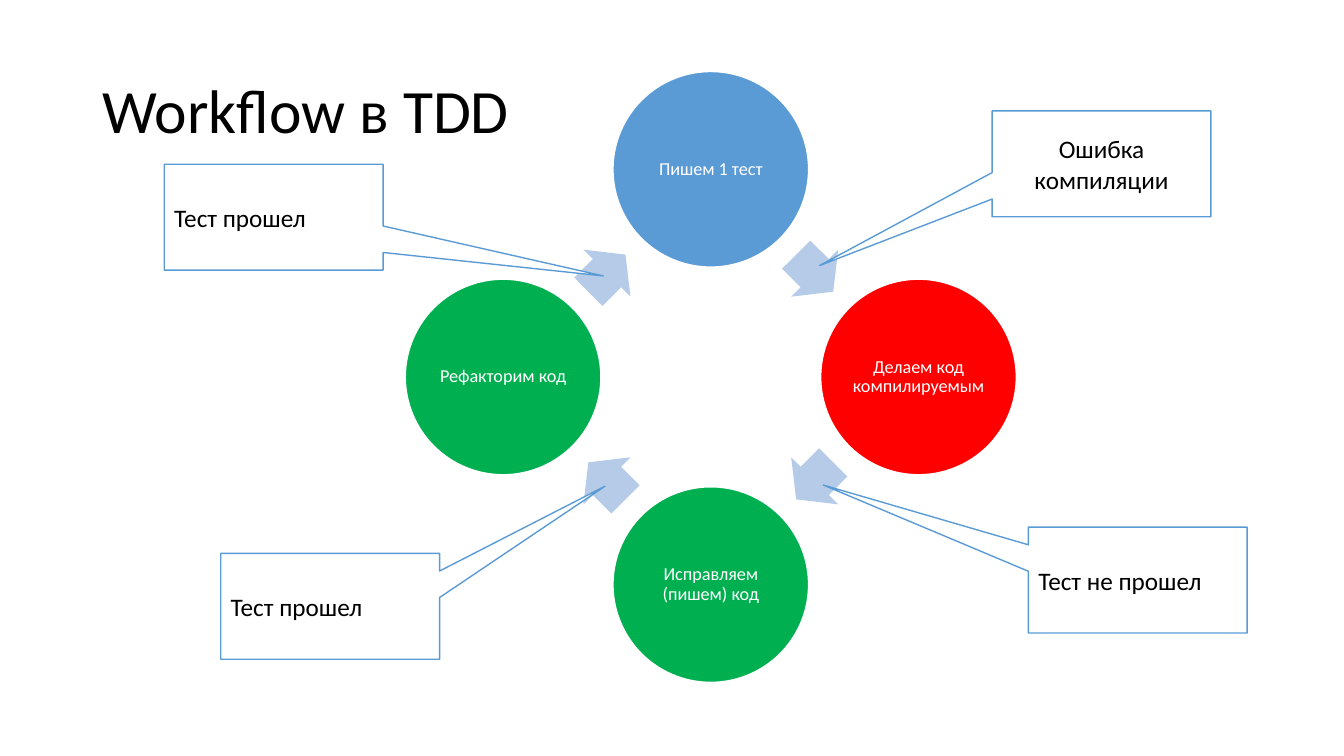
from dataclasses import dataclass
from math import cos, radians, sin, sqrt

from pptx import Presentation
from pptx.dml.color import RGBColor
from pptx.enum.shapes import MSO_SHAPE
from pptx.enum.text import MSO_ANCHOR, PP_ALIGN
from pptx.util import Inches, Pt

OVAL = MSO_SHAPE.OVAL
ARROW = MSO_SHAPE.RIGHT_ARROW
CALLOUT = MSO_SHAPE.RECTANGULAR_CALLOUT
MIDDLE = MSO_ANCHOR.MIDDLE
LEFT, CENTER = PP_ALIGN.LEFT, PP_ALIGN.CENTER

FONT = "Calibri"
COLORS = {
    "blue": "5B9BD5",
    "red": "FF0000",
    "green": "00B050",
    "pale": "B5CBE7",
    "white": "FFFFFF",
    "black": "000000",
}

# Geometry of the cycle, in inches
CENTER_X, CENTER_Y = 7.05, 3.74
RING_RADIUS = 2.06
DIAMETER = 1.94
ARROW_WIDTH, ARROW_HEIGHT = 0.52, 0.66
ARROW_RADIUS = RING_RADIUS / sqrt(2)
CALLOUT_WIDTH, CALLOUT_HEIGHT = 2.17, 1.05


@dataclass
class Step:
    text: str
    color: str


@dataclass
class Callout:
    text: str
    left: float
    top: float
    tip_x: float
    tip_y: float
    alignment: PP_ALIGN = LEFT


# Clockwise from the top
STEPS = [
    Step("Пишем 1 тест", "blue"),
    Step("Делаем код компилируемым", "red"),
    Step("Исправляем (пишем) код", "green"),
    Step("Рефакторим код", "green"),
]

# Tips are offsets from the box centre, as shares of its size
CALLOUTS = [
    Callout("Ошибка компиляции", 9.84, 1.1, -1.288, 0.961, CENTER),
    Callout("Тест не прошел", 10.2, 5.23, -1.437, -0.898),
    Callout("Тест прошел", 2.19, 5.49, 1.256, -1.135),
    Callout("Тест прошел", 1.63, 1.63, 1.506, 0.555),
]


def rgb(name: str) -> RGBColor:
    return RGBColor.from_string(COLORS[name])


def write(shape, text: str, size: int, color: str, alignment: PP_ALIGN,
          line_spacing: float = 1.0) -> None:
    text_frame = shape.text_frame
    text_frame.word_wrap = True
    text_frame.vertical_anchor = MIDDLE
    text_frame.text = text
    paragraph = text_frame.paragraphs[0]
    paragraph.alignment = alignment
    paragraph.line_spacing = line_spacing
    font = paragraph.runs[0].font
    font.name = FONT
    font.size = Pt(size)
    font.color.rgb = rgb(color)


def add_filled(slide, kind: MSO_SHAPE, left: float, top: float, width: float,
               height: float, fill: str, line: str | None = None):
    shape = slide.shapes.add_shape(
        kind, Inches(left), Inches(top), Inches(width), Inches(height))
    shape.shadow.inherit = False
    shape.fill.solid()
    shape.fill.fore_color.rgb = rgb(fill)
    if line:
        shape.line.color.rgb = rgb(line)
        shape.line.width = Pt(1)
    else:
        shape.line.fill.background()
    return shape


def add_title(slide, text: str) -> None:
    title = slide.shapes.add_textbox(
        Inches(0.92), Inches(0.4), Inches(11.5), Inches(1.45))
    write(title, text, 44, "black", LEFT, 0.9)


def add_step(slide, step: Step, angle: float) -> None:
    x = CENTER_X + RING_RADIUS * cos(radians(angle))
    y = CENTER_Y + RING_RADIUS * sin(radians(angle))
    circle = add_filled(slide, OVAL, x - DIAMETER / 2, y - DIAMETER / 2,
                        DIAMETER, DIAMETER, step.color, "white")
    text_frame = circle.text_frame
    text_frame.margin_left = text_frame.margin_right = Inches(0.02)
    text_frame.margin_top = text_frame.margin_bottom = Inches(0.02)
    write(circle, step.text, 13, "white", CENTER, 0.9)


def add_cycle_arrow(slide, angle: float) -> None:
    x = CENTER_X + ARROW_RADIUS * cos(radians(angle))
    y = CENTER_Y + ARROW_RADIUS * sin(radians(angle))
    arrow = add_filled(slide, ARROW, x - ARROW_WIDTH / 2, y - ARROW_HEIGHT / 2,
                       ARROW_WIDTH, ARROW_HEIGHT, "pale")
    arrow.adjustments[0] = 0.6
    arrow.adjustments[1] = 0.5
    arrow.rotation = (angle + 90) % 360


def add_callout(slide, callout: Callout) -> None:
    shape = add_filled(slide, CALLOUT, callout.left, callout.top,
                       CALLOUT_WIDTH, CALLOUT_HEIGHT, "white", "blue")
    shape.adjustments[0] = callout.tip_x
    shape.adjustments[1] = callout.tip_y
    write(shape, callout.text, 18, "black", callout.alignment)


def main() -> None:
    presentation = Presentation()
    presentation.slide_width = Inches(13.33)
    presentation.slide_height = Inches(7.5)
    slide = presentation.slides.add_slide(presentation.slide_layouts[6])

    add_title(slide, "Workflow в TDD")

    # Cycle: each circle is followed by the arrow to the next one
    sector = 360 / len(STEPS)
    for index, step in enumerate(STEPS):
        angle = index * sector - 90
        add_step(slide, step, angle)
        add_cycle_arrow(slide, angle + sector / 2)

    # Callouts pointing at the arrows
    for callout in CALLOUTS:
        add_callout(slide, callout)

    presentation.save("out.pptx")


if __name__ == "__main__":
    main()
